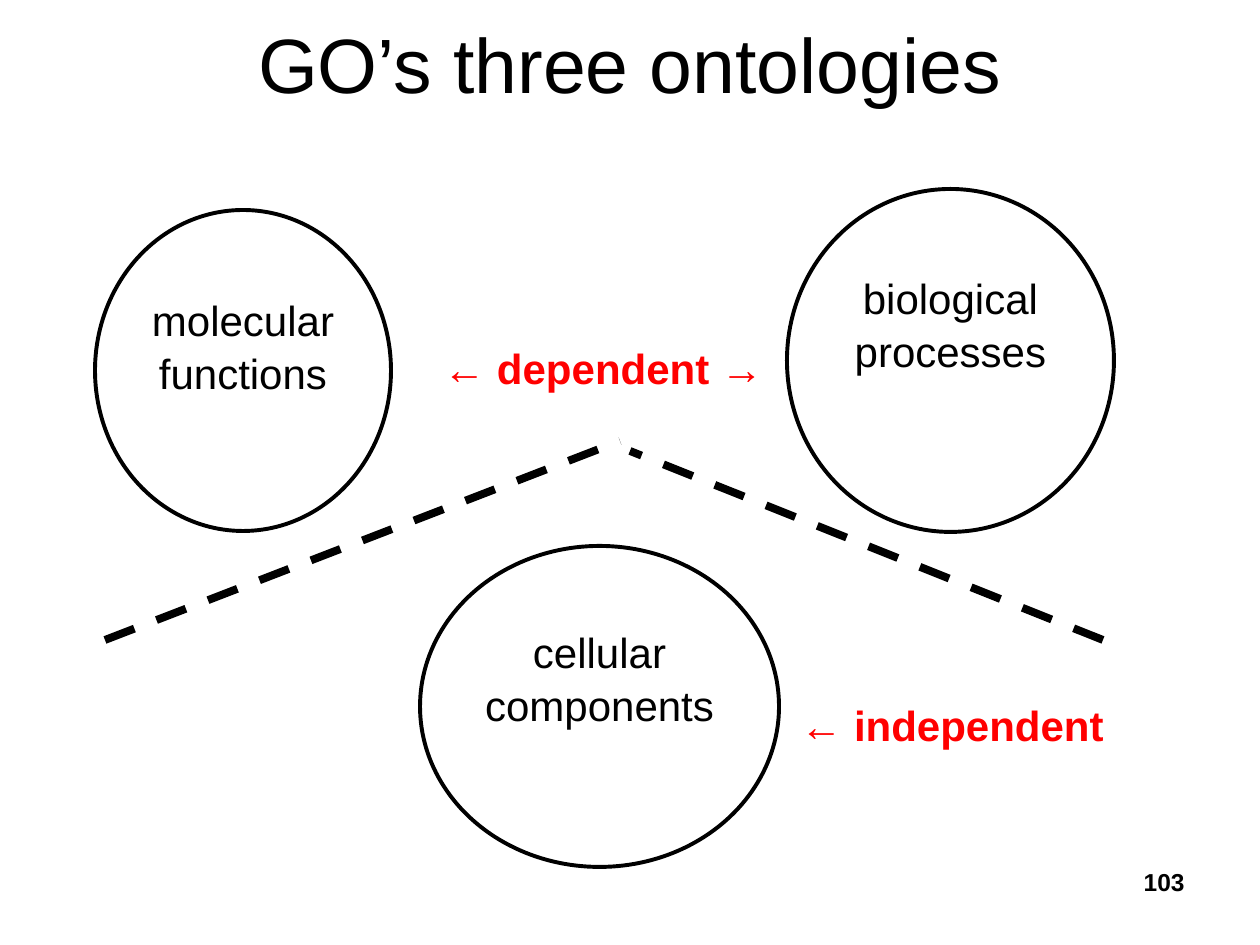
"""Build the slide on the three ontologies of GO."""
from lxml.etree import SubElement
from pptx import Presentation
from pptx.dml.color import RGBColor
from pptx.enum.dml import MSO_LINE
from pptx.enum.shapes import MSO_CONNECTOR, MSO_SHAPE
from pptx.enum.text import MSO_ANCHOR, PP_ALIGN
from pptx.oxml.ns import qn
from pptx.util import Pt

PX = 914400 // 126
BLACK = RGBColor(0, 0, 0)
WHITE = RGBColor(255, 255, 255)
RED = RGBColor(255, 0, 0)

TITLE = "GO’s three ontologies"
ONTOLOGIES = [
    ("molecular functions", (95, 210, 296, 321), 35),
    ("cellular components", (420, 546, 359, 321), 31),
    ("biological processes", (787, 189, 327, 343), 31),
]
LABELS = [
    ("← dependent →", (431, 336, 410, 63), 24, RED, PP_ALIGN.LEFT),
    ("← independent", (788, 693, 410, 63), 24, RED, PP_ALIGN.LEFT),
    ("103", (903, 861, 294, 66), 14, BLACK, PP_ALIGN.RIGHT),
]
DIVIDERS = [(105, 640, 620, 441), (1103, 640, 630, 451)]


def scale(lengths):
    return [length * PX for length in lengths]


def write(shape, text, size, color, align, bold=False):
    frame = shape.text_frame
    frame.word_wrap = True
    frame.text = text
    paragraph = frame.paragraphs[0]
    paragraph.alignment = align
    font = paragraph.font
    font.name, font.size, font.bold = "Arial", Pt(size), bold
    font.color.rgb = color
    return frame


def add_ontology(slide, text, box, top_inset):
    ellipse = slide.shapes.add_shape(MSO_SHAPE.OVAL, *scale(box))
    ellipse.shadow.inherit = False
    ellipse.fill.solid()
    ellipse.fill.fore_color.rgb = WHITE
    ellipse.line.color.rgb = BLACK
    ellipse.line.width = Pt(2.25)
    frame = write(ellipse, text, 24, BLACK, PP_ALIGN.CENTER)
    frame.vertical_anchor = MSO_ANCHOR.TOP
    frame.margin_left = frame.margin_right = 11 * PX
    frame.margin_top, frame.margin_bottom = top_inset * PX, 5 * PX
    frame.paragraphs[0].line_spacing = 1.05


def add_divider(slide, ends):
    divider = slide.shapes.add_connector(MSO_CONNECTOR.STRAIGHT, *scale(ends))
    divider.line.color.rgb = BLACK
    divider.line.width = Pt(4.5)
    divider.line.dash_style = MSO_LINE.DASH
    SubElement(divider._element.spPr, qn("a:effectLst"))


def main():
    presentation = Presentation()
    presentation.slide_width, presentation.slide_height = scale((1260, 945))
    slide = presentation.slides.add_slide(presentation.slide_layouts[5])

    title = slide.shapes.title
    title.left, title.top, title.width, title.height = scale((63, 0, 1134, 126))
    frame = write(title, TITLE, 44, BLACK, PP_ALIGN.CENTER)
    frame.vertical_anchor = MSO_ANCHOR.MIDDLE

    for ontology in ONTOLOGIES:
        add_ontology(slide, *ontology)
    for text, box, size, color, align in LABELS:
        label = slide.shapes.add_textbox(*scale(box))
        write(label, text, size, color, align, bold=True)
    for ends in DIVIDERS:
        add_divider(slide, ends)

    presentation.save("out.pptx")


if __name__ == "__main__":
    main()
